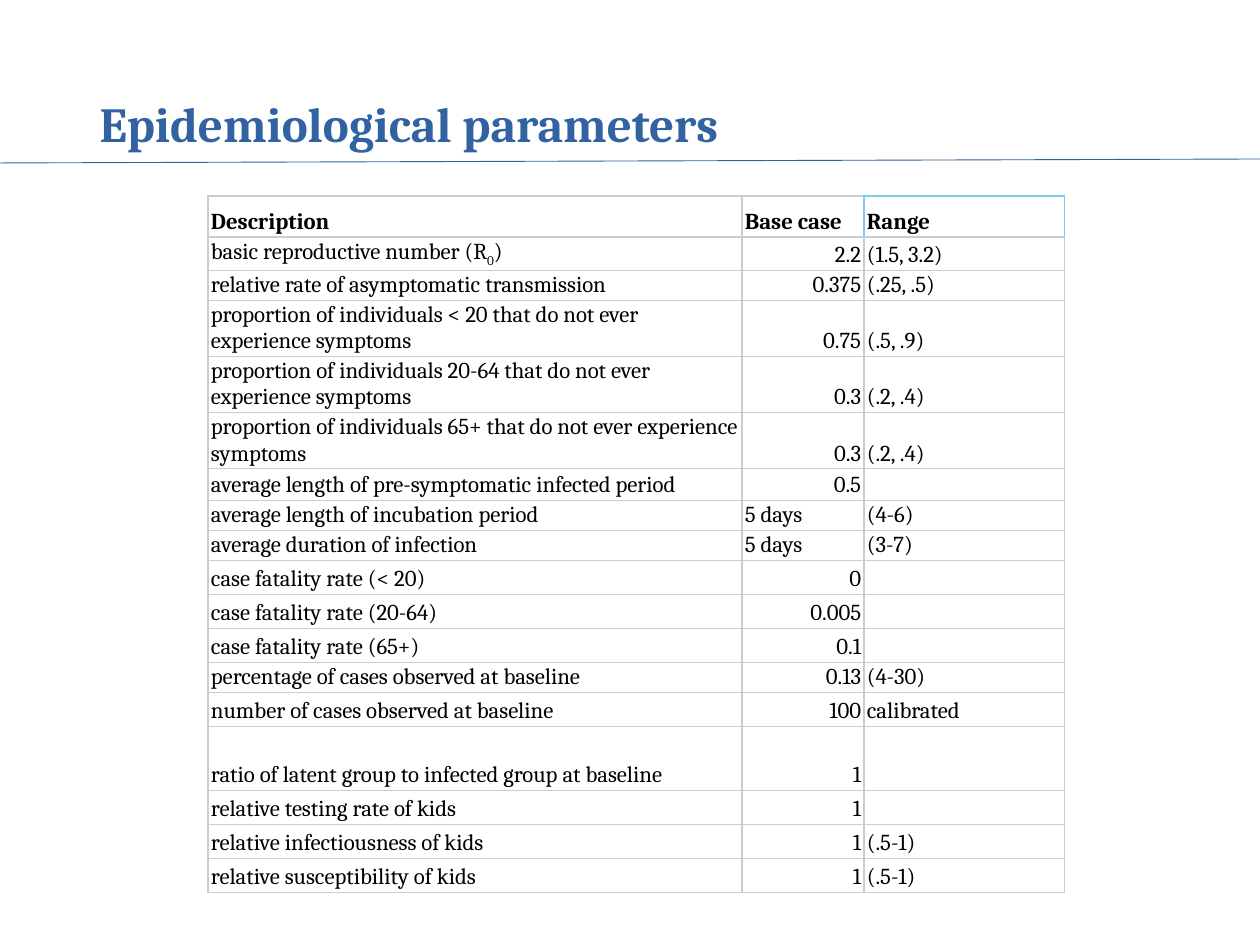
from lxml.etree import SubElement
from pptx import Presentation
from pptx.dml.color import RGBColor
from pptx.enum.shapes import MSO_CONNECTOR
from pptx.enum.text import MSO_ANCHOR, PP_ALIGN
from pptx.oxml.ns import qn
from pptx.util import Pt

PX = 914400 / 126
FONT = "Cambria"
BODY_SIZE = 13
BLUE = RGBColor(0x31, 0x62, 0xA1)
BLACK = RGBColor(0x00, 0x00, 0x00)
GRAY = RGBColor(0xCC, 0xCC, 0xCC)
SKY = RGBColor(0x80, 0xC9, 0xF1)

COL_WIDTHS = [534, 122, 201]
# Each row: height, description, base case, range
ROWS = [
    (41, "Description", "Base case", "Range"),
    (33, "basic reproductive number (R_0_)", "2.2", "(1.5, 3.2)"),
    (30, "relative rate of asymptomatic transmission", "0.375", "(.25, .5)"),
    (56, "proportion of individuals < 20 that do not ever experience symptoms", "0.75", "(.5, .9)"),
    (56, "proportion of individuals 20-64 that do not ever experience symptoms", "0.3", "(.2, .4)"),
    (56, "proportion of individuals 65+ that do not ever experience symptoms", "0.3", "(.2, .4)"),
    (30, "average length of pre-symptomatic infected period", "0.5", ""),
    (30, "average length of incubation period", "5 days", "(4-6)"),
    (30, "average duration of infection", "5 days", "(3-7)"),
    (34, "case fatality rate (< 20)", "0", ""),
    (34, "case fatality rate (20-64)", "0.005", ""),
    (34, "case fatality rate (65+)", "0.1", ""),
    (30, "percentage of cases observed at baseline", "0.13", "(4-30)"),
    (34, "number of cases observed at baseline", "100", "calibrated"),
    (64, "ratio of latent group to infected group at baseline", "1", ""),
    (34, "relative testing rate of kids", "1", ""),
    (34, "relative infectiousness of kids", "1", "(.5-1)"),
    (34, "relative susceptibility of kids", "1", "(.5-1)"),
]


def px(n):
    return round(n * PX)


def add_run(p, text, size, color, bold=False):
    r = p.add_run()
    r.text = text
    f = r.font
    f.name, f.size, f.bold = FONT, Pt(size), bold
    f.color.rgb = color
    return r


def add_title(slide, x, y, w, h):
    sp = slide.shapes.title
    sp.left, sp.top, sp.width, sp.height = px(x), px(y), px(w), px(h)
    tf = sp.text_frame
    tf.word_wrap = True
    tf.vertical_anchor = MSO_ANCHOR.BOTTOM
    p = tf.paragraphs[0]
    p.alignment = PP_ALIGN.LEFT
    p.line_spacing = 0.9
    add_run(p, "Epidemiological parameters", 28, BLUE, True)


def add_rule(slide, x, y, w, h):
    """Draw the thin line under the title, rising to the right by h."""
    line = slide.shapes.add_connector(
        MSO_CONNECTOR.STRAIGHT, px(x), px(y + h), px(x + w), px(y))
    line.line.color.rgb = BLUE
    line.line.width = Pt(0.5)
    SubElement(line._element.spPr, qn("a:effectLst"))


def set_borders(cell, colors):
    """Apply left, right, top and bottom border colours."""
    tc_pr = cell._tc.get_or_add_tcPr()
    for side, color in zip("LRTB", colors):
        ln = SubElement(tc_pr, qn(f"a:ln{side}"), w=str(Pt(0.75)))
        fill = SubElement(ln, qn("a:solidFill"))
        SubElement(fill, qn("a:srgbClr"), val=str(color))


def border_colors(row, col):
    if (row, col) == (0, 2):
        return SKY, SKY, SKY, GRAY
    if (row, col) == (0, 1):
        return GRAY, SKY, GRAY, GRAY
    return GRAY, GRAY, GRAY, GRAY


def fill_cell(cell, text, header, numeric):
    cell.fill.background()
    cell.vertical_anchor = MSO_ANCHOR.BOTTOM
    cell.margin_left = cell.margin_right = px(3)
    cell.margin_top = cell.margin_bottom = px(2)
    p = cell.text_frame.paragraphs[0]
    p.alignment = PP_ALIGN.RIGHT if numeric else PP_ALIGN.LEFT
    if not text:
        # Keeps an empty cell from stretching its row
        SubElement(p._p, qn("a:endParaRPr"), sz=str(BODY_SIZE * 100))
        return
    for i, part in enumerate(text.split("_")):
        r = add_run(p, part, BODY_SIZE, BLACK, header)
        if i % 2:
            r.font._element.set("baseline", "-25000")


def add_parameter_table(slide, x, y):
    height = sum(row[0] for row in ROWS)
    table = slide.shapes.add_table(
        len(ROWS), len(COL_WIDTHS), px(x), px(y), px(sum(COL_WIDTHS)), px(height)).table
    table.first_row = table.horz_banding = False
    for col, w in zip(table.columns, COL_WIDTHS):
        col.width = px(w)
    for i, (h, *texts) in enumerate(ROWS):
        table.rows[i].height = px(h)
        for j, text in enumerate(texts):
            cell = table.cell(i, j)
            set_borders(cell, border_colors(i, j))
            numeric = j == 1 and text[-1].isdigit()
            fill_cell(cell, text, i == 0, numeric)


def main():
    prs = Presentation()
    prs.slide_width, prs.slide_height = px(1260), px(945)
    slide = prs.slides.add_slide(prs.slide_layouts[5])
    add_title(slide, 87, 40, 1086, 119)
    add_rule(slide, 0, 159, 1260, 4)
    add_parameter_table(slide, 208, 196)
    prs.save("out.pptx")


if __name__ == "__main__":
    main()
